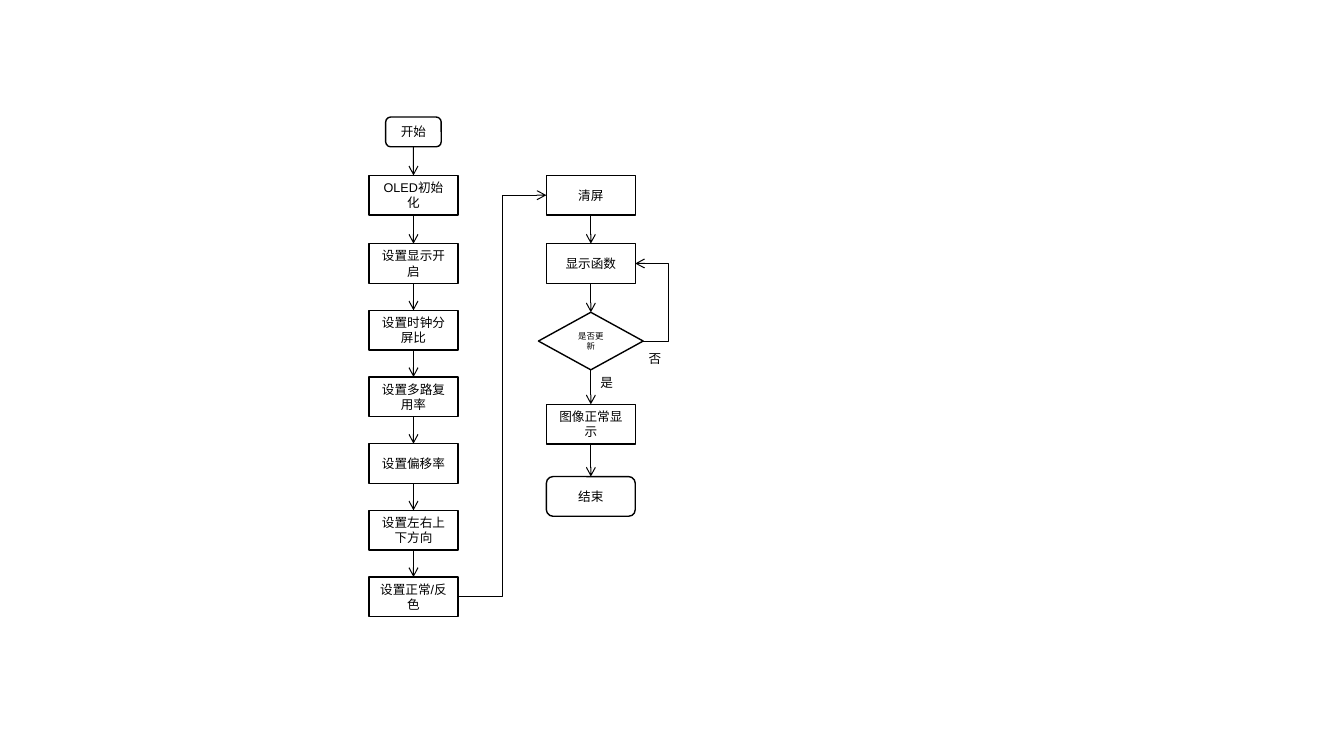
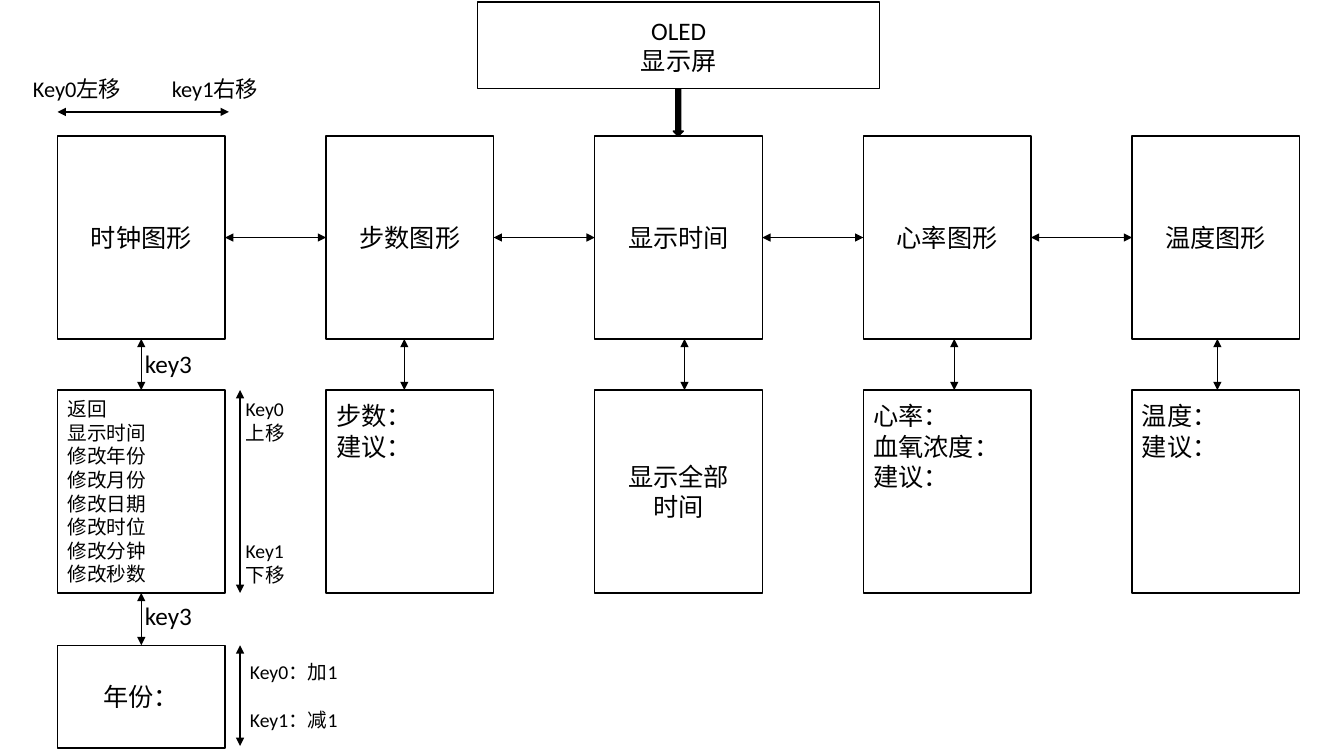
from lxml import etree
from pptx import Presentation
from pptx.dml.color import RGBColor
from pptx.enum.shapes import MSO_CONNECTOR, MSO_SHAPE
from pptx.enum.text import MSO_ANCHOR, MSO_AUTO_SIZE, PP_ALIGN
from pptx.oxml.ns import qn
from pptx.util import Cm, Pt

BLACK = RGBColor(0x00, 0x00, 0x00)
WHITE = RGBColor(0xFF, 0xFF, 0xFF)
RECT, ROUND = MSO_SHAPE.RECTANGLE, MSO_SHAPE.ROUNDED_RECTANGLE
DIAMOND, DOWN_ARROW = MSO_SHAPE.DIAMOND, MSO_SHAPE.DOWN_ARROW
STRAIGHT, ELBOW = MSO_CONNECTOR.STRAIGHT, MSO_CONNECTOR.ELBOW
LEFT, CENTER = PP_ALIGN.LEFT, PP_ALIGN.CENTER
TOP, MIDDLE = MSO_ANCHOR.TOP, MSO_ANCHOR.MIDDLE
FIT_TEXT = MSO_AUTO_SIZE.SHAPE_TO_FIT_TEXT
SIDE_TOP, SIDE_LEFT, SIDE_BOTTOM, SIDE_RIGHT = range(4)

STEP_WIDTH, STEP_HEIGHT = 2.24, 1.0
SETUP_CENTER, DISPLAY_CENTER = 10.42, 14.89
FIRST_STEP_TOP, SETTINGS_TOP, SETTINGS_PITCH = 4.42, 6.14, 1.68
DIAMOND_WIDTH, LOOP_REACH = 2.64, 0.64
SETTINGS = ["设置显示开启", "设置时钟分屏比", "设置多路复用率",
            "设置偏移率", "设置左右上下方向", "设置正常/反色"]
SETUP_STEPS = [
    ("开始", ROUND, 2.95, 1.4, 0.75, 9),
    ("OLED初始化", RECT, FIRST_STEP_TOP, STEP_WIDTH, STEP_HEIGHT, 9),
] + [
    (name, RECT, SETTINGS_TOP + SETTINGS_PITCH * index, STEP_WIDTH, STEP_HEIGHT, 9)
    for index, name in enumerate(SETTINGS)
]
DISPLAY_STEPS = [
    ("清屏", RECT, FIRST_STEP_TOP, STEP_WIDTH, STEP_HEIGHT, 9),
    ("显示函数", RECT, SETTINGS_TOP, STEP_WIDTH, STEP_HEIGHT, 9),
    ("是否更新", DIAMOND, 7.87, DIAMOND_WIDTH, 1.45, 6),
    ("图像正常显示", RECT, 10.19, STEP_WIDTH, STEP_HEIGHT, 9),
    ("结束", ROUND, 12.01, STEP_WIDTH, STEP_HEIGHT, 9),
]
BRANCH_LABELS = [("是", 14.88, 9.32), ("否", 16.1, 8.71)]

CARD_LEFT, CARD_PITCH, CARD_WIDTH, CARD_HEIGHT = 1.45, 6.77, 4.22, 5.11
SCREEN_TOP, DETAIL_TOP = 3.43, 9.83
YEAR_TOP, YEAR_HEIGHT = 16.26, 2.59
SIDE_ARROW_X = 6.05
MENU = "\n".join(["返回", "显示时间", "修改年份", "修改月份",
                  "修改日期", "修改时位", "修改分钟", "修改秒数"])
SCREENS = [
    ("时钟图形", MENU, 14, LEFT, MIDDLE, 0),
    ("步数图形", "步数：\n建议：", 18, LEFT, TOP, -0.14),
    ("显示时间", "显示全部\n时间", 18, CENTER, MIDDLE, 0.15),
    ("心率图形", "心率：\n血氧浓度：\n建议：", 18, LEFT, TOP, 0.18),
    ("温度图形", "温度：\n建议：", 18, LEFT, TOP, 0.04),
]
KEY_NOTES = [
    ("Key0左移\tkey1右移", 0.58, 1.78, 6.5, 0.94, 16, True, 0),
    ("Key0上移\nKey1\n下移", 5.94, 9.88, 1.63, 5.05, 14, True, 68),
    ("Key0：加1\nKey1：减1", 6.05, 16.51, 3.2, 2.06, 14, True, 17),
    ("key3", 3.4, 8.66, 1.7, 1.02, 18, False, 0),
    ("key3", 3.4, 15.01, 1.7, 1.02, 18, False, 0),
]
KEY_ARROWS = [
    (CARD_LEFT, 2.82, 5.77, 2.82),
    (SIDE_ARROW_X, DETAIL_TOP, SIDE_ARROW_X, DETAIL_TOP + CARD_HEIGHT),
    (SIDE_ARROW_X, YEAR_TOP, SIDE_ARROW_X, YEAR_TOP + 2.54),
]


def write_text(shape, text, size, font, align):
    shape.text_frame.text = text
    for para in shape.text_frame.paragraphs:
        para.alignment = align
        for span in para.runs:
            span.font.size = Pt(size)
            span.font.name = font
            span.font.color.rgb = BLACK


def add_box(page, kind, left, top, width, height, fill=None):
    box = page.shapes.add_shape(kind, Cm(left), Cm(top), Cm(width), Cm(height))
    box.shadow.inherit = False
    if fill is None:
        box.fill.background()
    else:
        box.fill.solid()
        box.fill.fore_color.rgb = fill
    box.line.color.rgb = BLACK
    box.line.width = Pt(1)
    return box


def add_note(page, text, left, top, width, height, size, wrap):
    note = page.shapes.add_textbox(Cm(left), Cm(top), Cm(width), Cm(height))
    note.text_frame.word_wrap = wrap
    note.text_frame.auto_size = FIT_TEXT
    write_text(note, text, size, "Calibri", LEFT)
    return note


def add_arrow(page, kind, ends=(0, 0, 0, 0), weight=1, head="triangle", tail="triangle"):
    arrow = page.shapes.add_connector(kind, *[Cm(end) for end in ends])
    arrow.line.color.rgb = BLACK
    arrow.line.width = Pt(weight)
    outline = arrow.get_or_add_ln()
    for tag, style in (("a:headEnd", head), ("a:tailEnd", tail)):
        if style:
            etree.SubElement(outline, qn(tag)).set("type", style)
    etree.SubElement(arrow.element.spPr, qn("a:effectLst"))
    return arrow


def join(arrow, start, start_side, end, end_side):
    arrow.begin_connect(start, start_side)
    arrow.end_connect(end, end_side)


def add_flow_arrow(page, kind, start, start_side, end, end_side):
    arrow = add_arrow(page, kind, weight=0.75, head=None, tail="arrow")
    join(arrow, start, start_side, end, end_side)
    return arrow


def add_steps(page, steps, center):
    boxes = []
    for text, kind, top, width, height, size in steps:
        box = add_box(page, kind, center - width / 2, top, width, height)
        write_text(box, text, size, "Arial", CENTER)
        boxes.append(box)
    for upper, lower in zip(boxes, boxes[1:]):
        add_flow_arrow(page, STRAIGHT, upper, SIDE_BOTTOM, lower, SIDE_TOP)
    return boxes


def build_flowchart(page):
    setup = add_steps(page, SETUP_STEPS, SETUP_CENTER)
    display = add_steps(page, DISPLAY_STEPS, DISPLAY_CENTER)
    add_flow_arrow(page, ELBOW, setup[-1], SIDE_RIGHT, display[0], SIDE_LEFT)
    loop = add_flow_arrow(page, ELBOW, display[2], SIDE_RIGHT, display[1], SIDE_RIGHT)
    bend = -LOOP_REACH / ((DIAMOND_WIDTH - STEP_WIDTH) / 2)
    guides = loop.element.spPr.find(qn("a:prstGeom")).find(qn("a:avLst"))
    guide = etree.SubElement(guides, qn("a:gd"))
    guide.set("name", "adj1")
    guide.set("fmla", f"val {round(bend * 100000)}")
    for text, left, top in BRANCH_LABELS:
        add_note(page, text, left, top, 0.84, 0.64, 9, False)


def add_card(page, text, left, top, width, height, size=18, align=CENTER):
    card = add_box(page, RECT, left, top, width, height, WHITE)
    write_text(card, text, size, "Calibri", align)
    return card


def build_menu(page):
    add_card(page, "OLED\n显示屏", 12.04, 0.05, 10.13, 2.18)
    screens, details = [], []
    for index, (name, detail, size, align, anchor, shift) in enumerate(SCREENS):
        left = CARD_LEFT + CARD_PITCH * index
        screen = add_card(page, name, left, SCREEN_TOP, CARD_WIDTH, CARD_HEIGHT)
        card = add_card(page, detail, left, DETAIL_TOP, CARD_WIDTH, CARD_HEIGHT, size, align)
        card.text_frame.vertical_anchor = anchor
        if anchor == TOP:
            card.text_frame.margin_top = Cm(0.27)
        middle = left + CARD_WIDTH / 2 + shift
        link = add_arrow(page, STRAIGHT, (middle, SCREEN_TOP + CARD_HEIGHT, middle, DETAIL_TOP))
        if not shift:
            join(link, screen, SIDE_BOTTOM, card, SIDE_TOP)
        screens.append(screen)
        details.append(card)
    for near, far in zip(screens, screens[1:]):
        join(add_arrow(page, STRAIGHT), near, SIDE_RIGHT, far, SIDE_LEFT)
    year = add_card(page, "年份：", CARD_LEFT, YEAR_TOP, CARD_WIDTH, YEAR_HEIGHT)
    join(add_arrow(page, STRAIGHT), details[0], SIDE_BOTTOM, year, SIDE_TOP)
    add_box(page, DOWN_ARROW, 16.97, 2.24, 0.25, 1.19, BLACK)
    for ends in KEY_ARROWS:
        add_arrow(page, STRAIGHT, ends)
    for text, left, top, width, height, size, wrap, gap in KEY_NOTES:
        note = add_note(page, text, left, top, width, height, size, wrap)
        paras = note.text_frame.paragraphs
        if gap:
            paras[1].space_before = Pt(gap)
        if "\t" in text:
            tabs = etree.SubElement(paras[0]._p.get_or_add_pPr(), qn("a:tabLst"))
            stop = etree.SubElement(tabs, qn("a:tab"))
            stop.set("pos", str(Cm(3.5)))
            stop.set("algn", "l")


def main():
    deck = Presentation()
    deck.slide_width, deck.slide_height = Cm(33.87), Cm(19.05)
    blank = deck.slide_layouts[6]
    for build in (build_flowchart, build_menu):
        build(deck.slides.add_slide(blank))
    deck.save("out.pptx")


if __name__ == "__main__":
    main()
